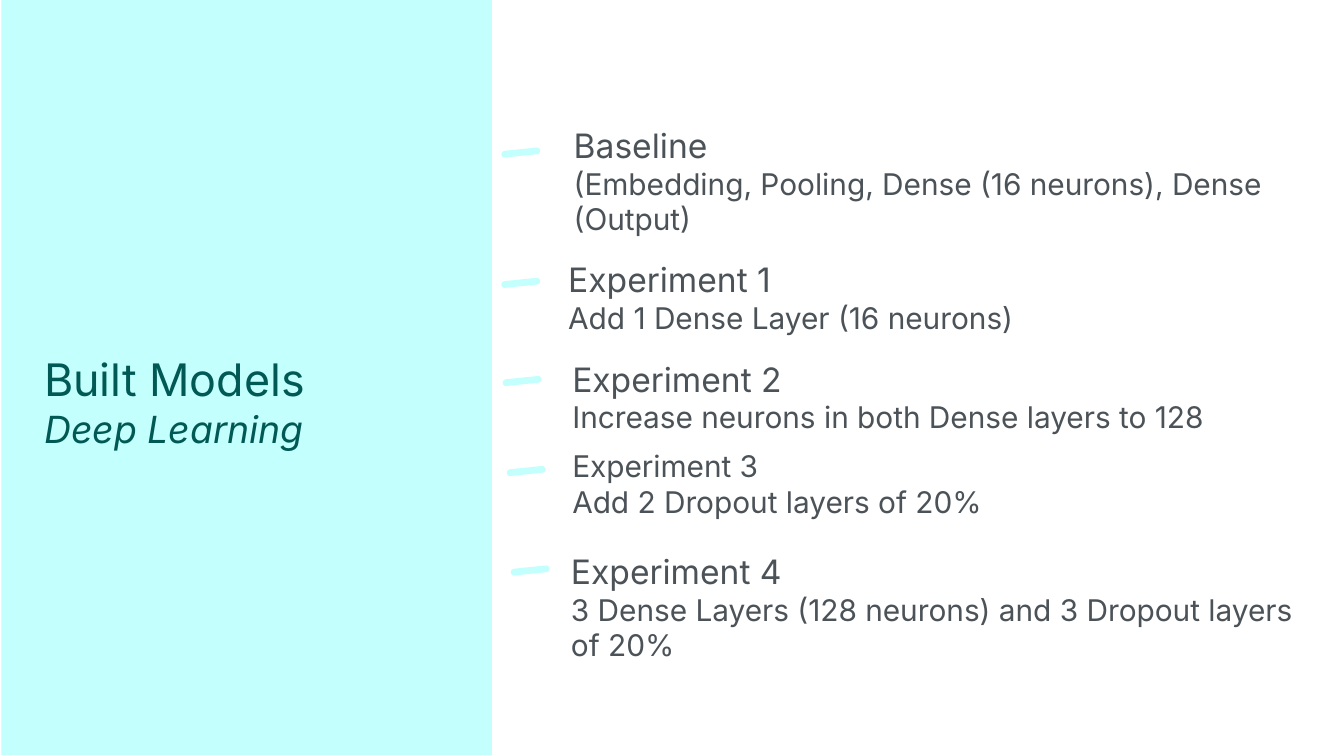
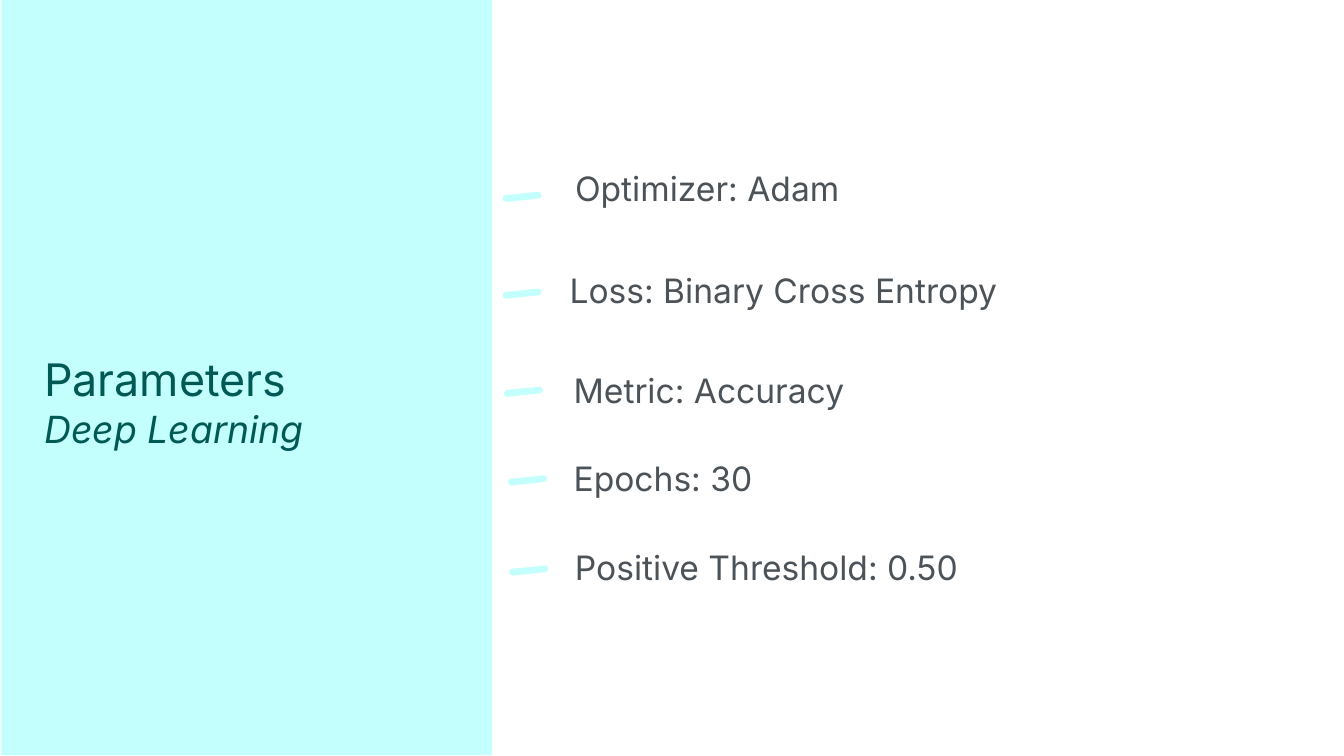
import pptx
import pptx.util
import pptx.dml.color
import pptx.enum.shapes
import pptx.enum.text

Inches = pptx.util.Inches
RGBColor = pptx.dml.color.RGBColor
MSO_SHAPE = pptx.enum.shapes.MSO_SHAPE
MSO_AUTO_SIZE = pptx.enum.text.MSO_AUTO_SIZE

AQUA = RGBColor(0xC3, 0xFF, 0xFC)
TEAL = RGBColor(0x01, 0x59, 0x55)
SLATE = RGBColor(0x4B, 0x52, 0x58)
FONT = "Inter"
DASH_ANGLE = 354.1


def add_aqua_shape(slide, kind, left, top, width, height):
    shape = slide.shapes.add_shape(
        kind, Inches(left), Inches(top), Inches(width), Inches(height))
    shape.shadow.inherit = False
    shape.fill.solid()
    shape.fill.fore_color.rgb = AQUA
    shape.line.fill.background()
    return shape


def add_text(slide, left, top, width, height, text, sizes, color):
    box = slide.shapes.add_textbox(
        Inches(left), Inches(top), Inches(width), Inches(height))
    frame = box.text_frame
    frame.word_wrap = True
    frame.margin_left = frame.margin_right = Inches(0.1)
    frame.margin_top = frame.margin_bottom = Inches(0.1)
    frame.text = text
    runs = [run for paragraph in frame.paragraphs for run in paragraph.runs]
    for run, size in zip(runs, sizes):
        run.font.name = FONT
        run.font.size = pptx.util.Pt(size)
        run.font.color.rgb = color
    return frame


models = [
    ((3.73, 1.11), (4.17, 0.83, 5.81, 1.04), 18,
     "Baseline\n(Embedding, Pooling, Dense (16 neurons), Dense (Output)"),
    ((3.73, 2.08), (4.13, 1.83, 5.4, 0.77), 18,
     "Experiment 1\nAdd 1 Dense Layer (16 neurons)"),
    ((3.74, 2.81), (4.16, 2.57, 5.4, 0.77), 18,
     "Experiment 2\nIncrease neurons in both Dense layers to 128"),
    ((3.77, 3.48), (4.16, 3.23, 5.4, 0.74), 16,
     "Experiment 3\nAdd 2 Dropout layers of 20%"),
    ((3.8, 4.22), (4.15, 4, 5.82, 1.04), 18,
     "Experiment 4\n3 Dense Layers (128 neurons) and 3 Dropout layers of 20%"),
]
parameters = [
    ((3.74, 1.44), (4.18, 1.15, 5.81, 0.5), 18, "Optimizer: Adam"),
    ((3.74, 2.16), (4.14, 1.91, 5.4, 0.5), 18, "Loss: Binary Cross Entropy"),
    ((3.75, 2.89), (4.17, 2.65, 5.4, 0.5), 18, "Metric: Accuracy"),
    ((3.78, 3.55), (4.17, 3.31, 5.4, 0.5), 18, "Epochs: 30"),
    ((3.79, 4.22), (4.18, 3.97, 5.4, 0.5), 18, "Positive Threshold: 0.50"),
]

deck = pptx.Presentation()
deck.slide_width = Inches(10)
deck.slide_height = deck.slide_width * 9 // 16

for title, items in [("Built Models", models), ("Parameters", parameters)]:
    slide = deck.slides.add_slide(deck.slide_layouts[6])
    add_aqua_shape(slide, MSO_SHAPE.RECTANGLE, 0.01, -0.02, 3.65, 5.64)
    heading = add_text(slide, 0.23, 2.52, 3.14, 0.58,
                       title + "\vDeep Learning", [24, 20], TEAL)
    heading.paragraphs[0].runs[1].font.italic = True
    for dash_at, text_at, heading_size, text in items:
        dash = add_aqua_shape(slide, MSO_SHAPE.ROUNDED_RECTANGLE, *dash_at, 0.29, 0.05)
        dash.adjustments[0] = 0.5
        dash.rotation = DASH_ANGLE
        item = add_text(slide, *text_at, text, [heading_size, 16], SLATE)
        item.auto_size = MSO_AUTO_SIZE.SHAPE_TO_FIT_TEXT

deck.save("out.pptx")
